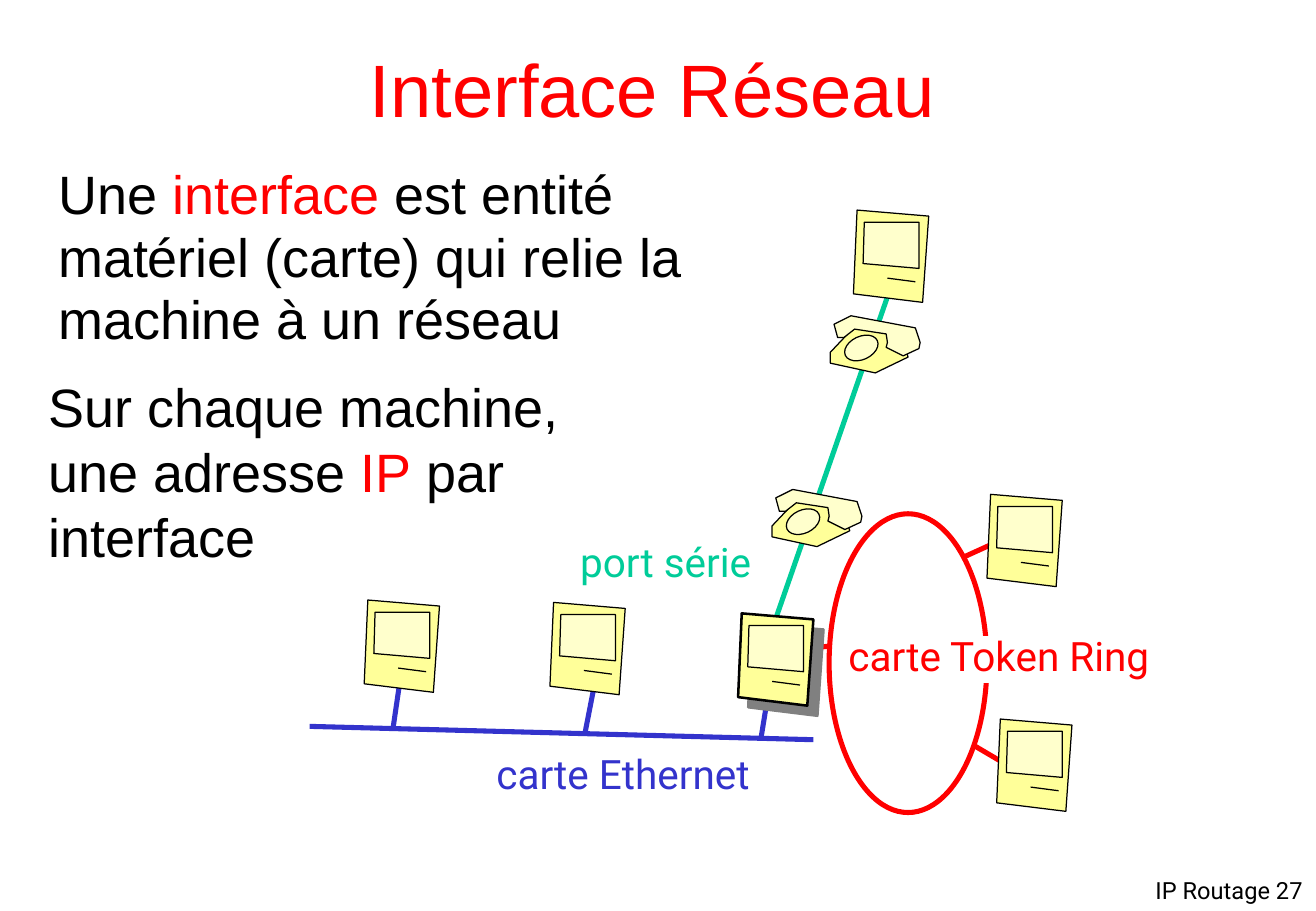
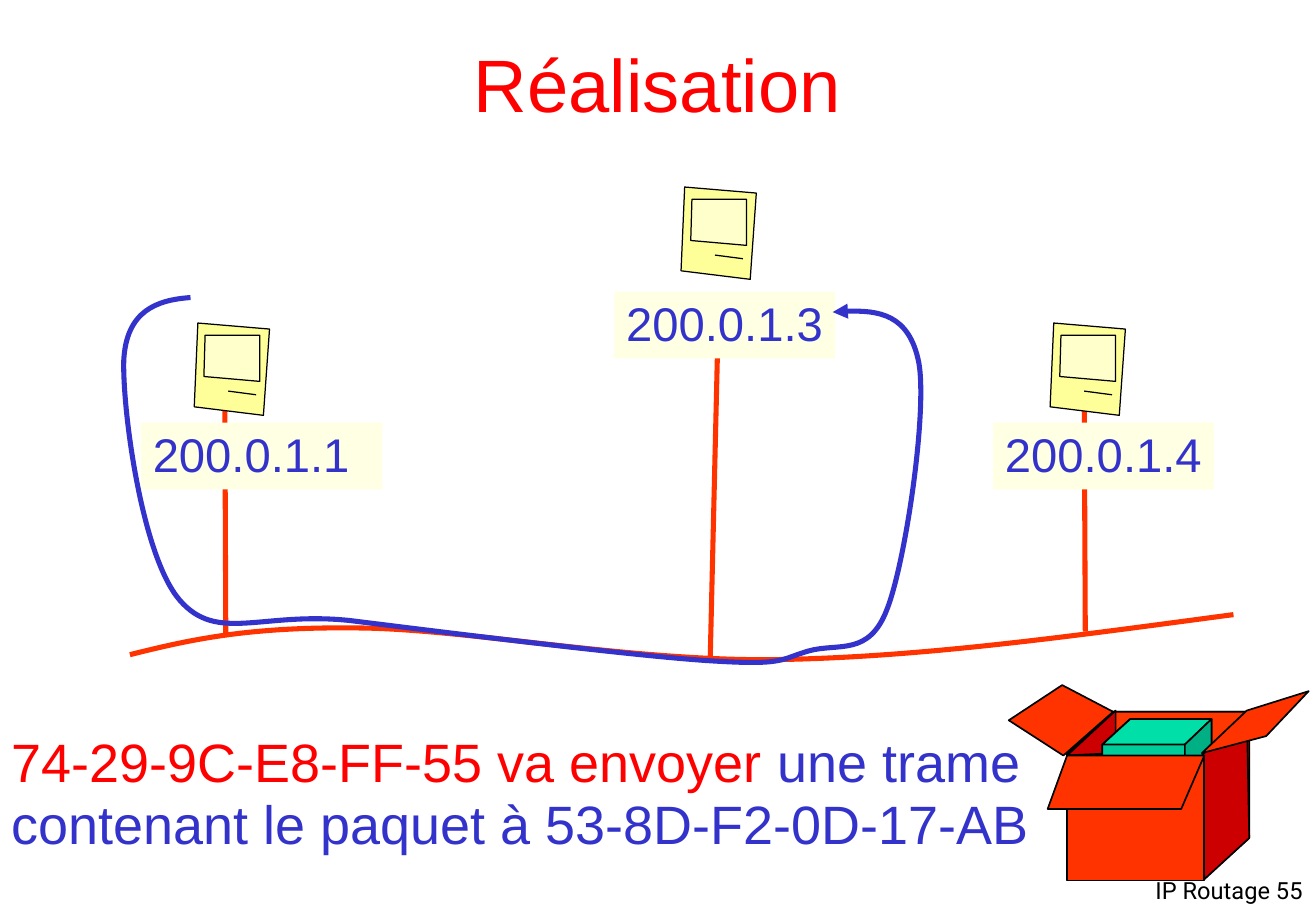
import pptx
import pptx.dml.color
import pptx.enum.shapes
import pptx.enum.text
import pptx.oxml.ns
import pptx.util
from lxml import etree

Inches = pptx.util.Inches
Pt = pptx.util.Pt
RGBColor = pptx.dml.color.RGBColor
Shape = pptx.enum.shapes.MSO_SHAPE
Align = pptx.enum.text.PP_ALIGN
Anchor = pptx.enum.text.MSO_ANCHOR
qn = pptx.oxml.ns.qn

BLACK = RGBColor(0x00, 0x00, 0x00)
WHITE = RGBColor(0xFF, 0xFF, 0xFF)
RED = RGBColor(0xFF, 0x00, 0x00)
BLUE = RGBColor(0x33, 0x33, 0xCC)
GREEN = RGBColor(0x00, 0xCC, 0x99)
LIGHT_GREEN = RGBColor(0x00, 0xDF, 0xA7)
DARK_GREEN = RGBColor(0x00, 0xAF, 0x83)
ORANGE = RGBColor(0xFF, 0x33, 0x00)
BRIGHT_ORANGE = RGBColor(0xFF, 0x37, 0x00)
DARK_RED = RGBColor(0xCC, 0x00, 0x00)
YELLOW = RGBColor(0xFF, 0xFF, 0x99)
PALE_YELLOW = RGBColor(0xFF, 0xFF, 0xCC)
CREAM = RGBColor(0xFF, 0xFF, 0xE3)

BODY_FONT, LABEL_FONT = "Arial", "Roboto"
BODY_SIZE, LABEL_SIZE = 32, 24
TIGHT = 0.96
THIN, EDGE, CABLE = 0.75, 1, 3

# Icon outlines, relative to the icon's top left corner
COMPUTER_CASE = [(0, 0.69), (0.03, 0), (0.62, 0.05), (0.57, 0.76)]
COMPUTER_SCREEN = [(0.09, 0.1), (0.08, 0.44), (0.54, 0.48), (0.54, 0.1)]
COMPUTER_SLOT = [(0.28, 0.56), (0.51, 0.59)]
PHONE_BODY = [(0, 0.39), (0.37, 0.47), (0.64, 0.34), (0.58, 0.14), (0.28, 0.08),
              (0.18, 0.11), (0, 0.3)]
PHONE_DIAL = (0.11, 0.17, 0.29, 0.19)
PHONE_HANDSET = [(0.06, 0.18), (0.11, 0.18), (0.2, 0.11), (0.46, 0.15), (0.47, 0.22),
                 (0.46, 0.26), (0.6, 0.33), (0.73, 0.27), (0.74, 0.22), (0.7, 0.1),
                 (0.17, 0), (0.03, 0.07)]

# Slide "Interface Réseau"
SERIAL_CABLE = [(7.36, 2.3, 6.36, 5.18)]
RING = (6.83, 4.23, 1.3, 2.46)
RING_CABLES = [(6.54, 5.35, 6.83, 5.32), (8.01, 6.13, 8.35, 6.33), (7.93, 4.59, 8.37, 4.39)]
ETHERNET_CABLES = [(2.55, 5.98, 6.7, 6.09), (3.3, 5.57, 3.24, 5.98),
                   (4.91, 5.57, 4.82, 6.03), (6.33, 5.7, 6.27, 6.07)]
ROUTER = (6.08, 5.05)
COMPUTERS = [(8.13, 4.07), (8.21, 5.92), (7.03, 1.73), (4.53, 4.96), (3, 4.94)]
PHONES = [(6.84, 2.6), (6.36, 4.03)]
INTERFACE_TEXT = [[("Une ", BLACK), ("interface", RED),
                   (" est entité matériel (carte) qui relie la machine à un réseau", BLACK)]]
ADDRESS_TEXT = [[("Sur chaque machine,", BLACK)],
                [("une adresse ", BLACK), ("IP", RED), (" par interface", BLACK)]]
RING_LABEL_PATCH = (7.81, 5.24, 0.81, 0.38)
CARD_LABELS = [("port série", GREEN, (4.68, 4.4, 1.82, 0.49)),
               ("carte Ethernet", BLUE, (3.99, 6.14, 3.01, 0.49)),
               ("carte Token Ring", RED, (6.89, 5.17, 3.05, 0.49))]

# Slide "Réalisation"; a curve is a start point, then two controls and an end per piece
NETWORK_CURVE = [(1.07, 5.39), (1.55, 5.27), (2.03, 5.16), (2.92, 5.17), (3.8, 5.17),
                 (5.2, 5.45), (6.41, 5.43), (7.62, 5.41), (8.88, 5.23), (10.16, 5.06)]
FRAME_ROUTE = [(1.57, 2.45), (1.29, 2.47), (1.04, 2.56), (1.02, 2.97), (1.01, 3.39),
               (1.17, 4.58), (1.48, 4.94), (1.79, 5.3), (2.16, 5.03), (2.89, 5.11),
               (3.61, 5.2), (5.21, 5.4), (5.84, 5.44), (6.47, 5.48), (6.42, 5.43),
               (6.66, 5.36), (6.91, 5.29), (7.16, 5.41), (7.31, 5.01), (7.46, 4.62),
               (7.64, 3.4), (7.57, 2.99), (7.49, 2.58), (7.15, 2.54), (6.86, 2.57)]
HOST_CABLES = [(1.85, 2.76, 1.86, 5.23), (5.92, 2.49, 5.85, 5.43), (8.93, 3.05, 8.94, 5.2)]
HOSTS = [("200.0.1.1", (1.6, 2.66), (1.16, 3.48, 1.99, 0.55)),
         ("200.0.1.4", (8.65, 2.66), (8.18, 3.48, 1.82, 0.55)),
         ("200.0.1.3", (5.61, 1.54), (5.06, 2.4, 1.82, 0.55))]
CARTON_FACES = [
    (ORANGE, [(8.79, 7.24), (8.79, 6.21), (9.16, 5.86), (10.29, 5.86), (10.29, 6.9),
              (9.91, 7.24)]),
    (BRIGHT_ORANGE, [(8.79, 6.21), (9.16, 5.86), (10.29, 5.86), (9.91, 6.21)]),
    (DARK_RED, [(8.79, 6.22), (9.19, 5.85), (9.19, 6.2)]),
    (GREEN, [(9.08, 6.75), (9.08, 6.13), (9.31, 5.92), (9.98, 5.92), (9.98, 6.54),
             (9.76, 6.75)]),
    (LIGHT_GREEN, [(9.08, 6.13), (9.31, 5.92), (9.98, 5.92), (9.76, 6.13)]),
    (DARK_GREEN, [(9.76, 6.75), (9.76, 6.13), (9.98, 5.92), (9.98, 6.54)]),
    (ORANGE, [(9.17, 5.86), (8.75, 5.64), (8.31, 5.93), (8.76, 6.22)]),
    (DARK_RED, [(9.92, 7.24), (10.29, 6.9), (10.27, 5.86), (9.9, 6.22)]),
    (ORANGE, [(9.9, 6.2), (10.27, 5.85), (10.78, 5.69), (10.43, 6.06)]),
    (ORANGE, [(8.79, 6.22), (9.92, 6.22), (9.92, 7.25), (8.79, 7.25)]),
    (ORANGE, [(8.79, 6.22), (8.63, 6.66), (9.73, 6.66), (9.92, 6.22)]),
]
FRAME_TEXT = [[("74-29-9C-E8-FF-55 va envoyer ", RED),
               ("une trame contenant le paquet à 53-8D-F2-0D-17-AB", BLUE)]]


def inches(values):
    return [Inches(value) for value in values]


def style(shape, fill, line, width):
    shape.shadow.inherit = False
    if fill is None:
        shape.fill.background()
    else:
        shape.fill.solid()
        shape.fill.fore_color.rgb = fill
    if line is None:
        shape.line.fill.background()
    else:
        shape.line.color.rgb = line
        shape.line.width = Pt(width)


def add_preset(shapes, kind, place, fill=None, line=None, width=THIN):
    shape = shapes.add_shape(kind, *inches(place))
    style(shape, fill, line, width)
    return shape


def add_outline(shapes, points, fill=None, line=BLACK, width=THIN, closed=True):
    start, *others = [inches(point) for point in points]
    builder = shapes.build_freeform(*start)
    builder.add_line_segments(others, close=closed)
    shape = builder.convert_to_shape()
    style(shape, fill, line, width)
    return shape


def add_curve(shapes, points, color):
    """Draw an open outline, then turn each three segments into one Bézier piece."""
    shape = add_outline(shapes, points, line=color, width=CABLE, closed=False)
    segments = list(shape._element.iter(qn("a:lnTo")))
    for first in range(0, len(segments), 3):
        piece = segments[first]
        piece.tag = qn("a:cubicBezTo")
        for segment in segments[first + 1:first + 3]:
            piece.append(segment[0])
            segment.getparent().remove(segment)
    return shape


def add_lines(shapes, ends, color, width=CABLE):
    for end in ends:
        line = shapes.add_connector(pptx.enum.shapes.MSO_CONNECTOR.STRAIGHT, *inches(end))
        line.line.color.rgb = color
        line.line.width = Pt(width)
        etree.SubElement(line._element.spPr, qn("a:effectLst"))


def write(box, paragraphs, size, font, spacing=TIGHT, align=Align.LEFT, anchor=Anchor.TOP):
    """Fill a box with paragraphs, each a list of (text, colour) spans."""
    frame = box.text_frame
    frame.word_wrap = True
    frame.vertical_anchor = anchor
    for index, spans in enumerate(paragraphs):
        para = frame.add_paragraph() if index else frame.paragraphs[0]
        para.alignment = align
        para.line_spacing = spacing
        para.font.size = Pt(size)
        para.font.name = font
        for text, color in spans:
            span = para.add_run()
            span.text = text
            span.font.color.rgb = color


def add_text(shapes, place, paragraphs, size=BODY_SIZE, font=BODY_FONT, **layout):
    write(shapes.add_textbox(*inches(place)), paragraphs, size, font, **layout)


def add_page(deck, title, title_place, number):
    """Add a blank page with the shared title and footer, and return its shapes."""
    shapes = deck.slides.add_slide(deck.slide_layouts[6]).shapes
    add_text(shapes, (8.96, 7.18, 1.87, 0.36), [[(f"IP Routage {number}", BLACK)]],
             size=14, font=LABEL_FONT, align=Align.RIGHT)
    add_text(shapes, title_place, [[(title, RED)]], size=44,
             align=Align.CENTER, anchor=Anchor.MIDDLE)
    return shapes


def moved(points, corner):
    return [(x + corner[0], y + corner[1]) for x, y in points]


def add_computer(shapes, corner, edge=THIN):
    parts = shapes.add_group_shape().shapes
    case = add_outline(parts, moved(COMPUTER_CASE, corner), YELLOW, width=edge)
    add_outline(parts, moved(COMPUTER_SCREEN, corner), PALE_YELLOW)
    start, end = moved(COMPUTER_SLOT, corner)
    add_lines(parts, [start + end], BLACK, THIN)
    return case


def add_shadow(shape):
    effects = shape._element.spPr.find(qn("a:effectLst"))
    shadow = etree.SubElement(effects, qn("a:outerShdw"), dist=str(Pt(8.5)),
                              dir="2700000", algn="ctr", rotWithShape="0")
    etree.SubElement(shadow, qn("a:srgbClr"), val="808080")


def add_phone(shapes, corner):
    parts = shapes.add_group_shape().shapes
    add_outline(parts, moved(PHONE_BODY, corner), YELLOW)
    left, top, width, height = PHONE_DIAL
    dial = add_preset(parts, Shape.OVAL, (corner[0] + left, corner[1] + top, width, height),
                      PALE_YELLOW, BLACK)
    dial.rotation = 335
    add_outline(parts, moved(PHONE_HANDSET, corner), PALE_YELLOW)


def build_interface_page(deck):
    shapes = add_page(deck, "Interface Réseau", (0.77, 0.28, 9.21, 0.95), 27)
    add_lines(shapes, SERIAL_CABLE, GREEN)
    add_preset(shapes, Shape.OVAL, RING, line=RED, width=CABLE)
    add_lines(shapes, RING_CABLES, RED)
    add_lines(shapes, ETHERNET_CABLES, BLUE)
    add_shadow(add_computer(shapes, ROUTER, edge=1.5))
    for corner in COMPUTERS:
        add_computer(shapes, corner)
    for corner in PHONES:
        add_phone(shapes, corner)
    add_text(shapes, (0.38, 1.31, 5.75, 1.64), INTERFACE_TEXT)
    add_text(shapes, (0.3, 3.03, 5.29, 1.7), ADDRESS_TEXT, spacing=1.0)
    add_preset(shapes, Shape.RECTANGLE, RING_LABEL_PATCH, WHITE, WHITE, EDGE)
    for text, color, place in CARD_LABELS:
        add_text(shapes, place, [[(text, color)]], size=LABEL_SIZE, font=LABEL_FONT)


def build_frame_page(deck):
    shapes = add_page(deck, "Réalisation", (0.81, 0.25, 9.21, 0.93), 55)
    add_curve(shapes, NETWORK_CURVE, ORANGE)
    add_lines(shapes, HOST_CABLES, ORANGE)
    for address, corner, place in HOSTS:
        add_computer(shapes, corner)
        label = add_preset(shapes, Shape.RECTANGLE, place, CREAM)
        label.text_frame.margin_right = 0
        write(label, [[(address, BLUE)]], 28, BODY_FONT)
    carton = shapes.add_group_shape().shapes
    for color, points in CARTON_FACES:
        add_outline(carton, points, color, width=EDGE)
    add_text(shapes, (0, 5.98, 8.8, 1.13), FRAME_TEXT)
    route = add_curve(shapes, FRAME_ROUTE, BLUE)
    etree.SubElement(route.line._get_or_add_ln(), qn("a:tailEnd"), type="triangle")


def main():
    deck = pptx.Presentation()
    deck.slide_width, deck.slide_height = inches((10.84, 7.5))
    build_interface_page(deck)
    build_frame_page(deck)
    deck.save("out.pptx")


if __name__ == "__main__":
    main()
